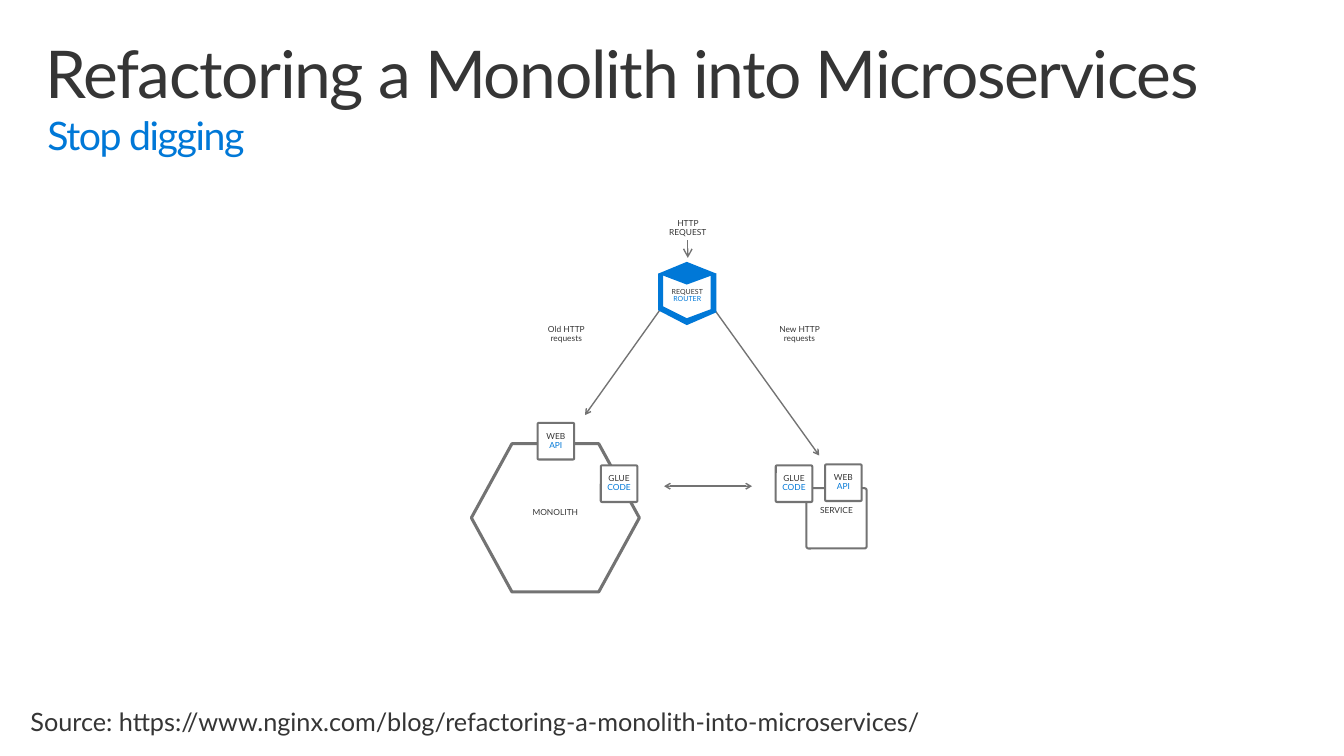
from pptx import Presentation
from pptx.dml.color import RGBColor
from pptx.enum.shapes import MSO_CONNECTOR, MSO_SHAPE
from pptx.enum.text import MSO_ANCHOR, PP_ALIGN
from pptx.oxml.ns import qn
from pptx.util import Inches, Pt
from lxml.etree import SubElement

COLORS = {"ink": "353535", "blue": "0078D7", "gray": "737373", "white": "FFFFFF"}
FONT = "Lato"
BADGE = 0.37


def rgb(name):
    """Return the palette colour with this name."""
    return RGBColor.from_string(COLORS[name])


def write(tf, lines, size, align=PP_ALIGN.CENTER, spacing=0.9, inset=(0, 0), tracking=0, wrap=True):
    """Fill a text frame with one paragraph per (text, colour) line."""
    tf.word_wrap = wrap
    tf.margin_left = tf.margin_right = Inches(inset[0])
    tf.margin_top = tf.margin_bottom = Inches(inset[1])
    for i, (text, color) in enumerate(lines):
        p = tf.add_paragraph() if i else tf.paragraphs[0]
        p.alignment = align
        p.line_spacing = spacing
        r = p.add_run()
        r.text = text
        r.font.name = FONT
        r.font.size = Pt(size)
        r.font.color.rgb = rgb(color)
        if tracking:
            r.font._element.set("spc", str(tracking * 100))


def add_text(s, x, y, w, h, lines, size, **style):
    """Place a text box."""
    sp = s.shapes.add_textbox(Inches(x), Inches(y), Inches(w), Inches(h))
    write(sp.text_frame, lines, size, **style)


def add_label(s, x, y, w, h, lines, size=6.1):
    """Place a small centred diagram label."""
    add_text(s, x, y, w, h, lines, size, inset=(0.1, 0.1))


def add_outline(s, kind, x, y, w, h, adjust, weight):
    """Draw a white preset shape with a gray outline."""
    sp = s.shapes.add_shape(kind, Inches(x), Inches(y), Inches(w), Inches(h))
    sp.adjustments[0] = adjust
    sp.shadow.inherit = False
    sp.fill.solid()
    sp.fill.fore_color.rgb = rgb("white")
    sp.line.color.rgb = rgb("gray")
    sp.line.width = Pt(weight)
    return sp


def add_badge(s, x, y, top, bottom):
    """Draw a small square with a two-line caption."""
    sp = add_outline(s, MSO_SHAPE.ROUNDED_RECTANGLE, x, y, BADGE, BADGE, 0.035, 1.5)
    sp.text_frame.vertical_anchor = MSO_ANCHOR.MIDDLE
    write(sp.text_frame, [(top, "ink"), (bottom, "blue")], 6.1)


def add_arrow(s, start, end, both=False, head="sm"):
    """Draw a thin gray arrow, optionally with a head at each end."""
    ends = [Inches(v) for v in (*start, *end)]
    cx = s.shapes.add_connector(MSO_CONNECTOR.STRAIGHT, *ends)
    cx.line.color.rgb = rgb("gray")
    cx.line.width = Pt(1)
    ln = cx.line._get_or_add_ln()
    for tag in ["a:headEnd", "a:tailEnd"] if both else ["a:tailEnd"]:
        SubElement(ln, qn(tag), type="arrow", w=head, len=head)
    SubElement(ln.getparent(), qn("a:effectLst"))


def add_polygon(s, x, y, points, color):
    """Draw a closed filled outline from points relative to x, y."""
    pts = [(Inches(x + dx), Inches(y + dy)) for dx, dy in points]
    fb = s.shapes.build_freeform(*pts[0])
    fb.add_line_segments(pts[1:], close=True)
    sp = fb.convert_to_shape()
    sp.shadow.inherit = False
    sp.fill.solid()
    sp.fill.fore_color.rgb = rgb(color)
    sp.line.fill.background()


def header(s, x, y, w):
    """Place the title and subtitle."""
    add_text(s, x, y, w, 1, [("Refactoring a Monolith into Microservices", "ink")], 48,
             align=PP_ALIGN.LEFT, inset=(0.16, 0.1), tracking=-1)
    add_text(s, x + 0.08, y + 0.76, 2.22, 0.59, [("Stop digging", "blue")], 28.6,
             align=PP_ALIGN.LEFT, spacing=1.0, inset=(0.1, 0.05), tracking=-1, wrap=False)


def router(s, x, y):
    """Draw the request router cube."""
    add_polygon(s, x, y, [(0.03, 0.14), (0.3, 0.23), (0.56, 0.14), (0.56, 0.52),
                          (0.3, 0.62), (0.03, 0.49)], "white")
    add_polygon(s, x, y, [(0.29, 0), (0.59, 0.12), (0.29, 0.23), (0, 0.12)], "blue")
    add_polygon(s, x, y, [(0.29, 0.64), (0, 0.49), (0, 0.12), (0.05, 0.12), (0.05, 0.45),
                          (0.29, 0.57), (0.53, 0.48), (0.53, 0.12), (0.59, 0.12),
                          (0.59, 0.51)], "blue")
    add_label(s, x - 0.09, y + 0.19, 0.77, 0.36, [("REQUEST", "ink"), ("ROUTER", "blue")], 5.1)


def monolith(s, x, y):
    """Draw the monolith hexagon with its badges."""
    add_outline(s, MSO_SHAPE.HEXAGON, x, y, 1.7, 1.5, 0.274, 2.25)
    add_label(s, x + 0.41, y + 0.61, 0.88, 0.3, [("MONOLITH", "ink")])
    add_badge(s, x + 1.31, y + 0.22, "GLUE", "CODE")
    add_badge(s, x + 0.67, y - 0.21, "WEB", "API")


def service(s, x, y):
    """Draw the service box with its badges."""
    add_outline(s, MSO_SHAPE.ROUNDED_RECTANGLE, x, y, 0.61, 0.61, 0.035, 1.5)
    add_label(s, x - 0.01, y + 0.14, 0.63, 0.3, [("SERVICE", "ink")])
    add_badge(s, x - 0.31, y - 0.23, "GLUE", "CODE")
    add_badge(s, x + 0.19, y - 0.24, "WEB", "API")


def requests(s, x, y):
    """Place the request arrows and labels around the router at x, y."""
    for text, dx, dy in [("HTTP REQUEST", -0.04, -0.52), ("Old HTTP requests", -1.27, 0.55),
                         ("New HTTP requests", 1.09, 0.55)]:
        add_label(s, x + dx, y + dy, 0.68, 0.39, [(text, "ink")])
    add_arrow(s, (x + 0.3, y - 0.22), (x + 0.3, y - 0.04), head="med")
    add_arrow(s, (x + 0.03, y + 0.47), (x - 0.74, y + 1.55))
    add_arrow(s, (x + 0.56, y + 0.47), (x + 1.63, y + 1.96))
    add_arrow(s, (x + 0.06, y + 2.27), (x + 0.95, y + 2.27), both=True)


def diagram(s, x, y):
    """Draw the whole routing diagram with its top-left corner at x, y."""
    requests(s, x + 1.89, y + 0.52)
    monolith(s, x, y + 2.36)
    service(s, x + 3.39, y + 2.81)
    router(s, x + 1.89, y + 0.52)


def footer(s, x, y):
    """Place the source line."""
    text = "Source: https://www.nginx.com/blog/refactoring-a-monolith-into-microservices/"
    add_text(s, x, y, 9.47, 0.42, [(text, "ink")], 18.4,
             align=PP_ALIGN.LEFT, spacing=1.0, inset=(0.1, 0.05))


def main():
    """Build and save the slide."""
    prs = Presentation()
    prs.slide_width, prs.slide_height = Inches(13.6), Inches(7.65)
    s = prs.slides.add_slide(prs.slide_layouts[6])
    header(s, 0.3, 0.32, 13)
    diagram(s, 4.77, 2.13)
    footer(s, 0.21, 7.1)
    prs.save("out.pptx")


if __name__ == "__main__":
    main()
